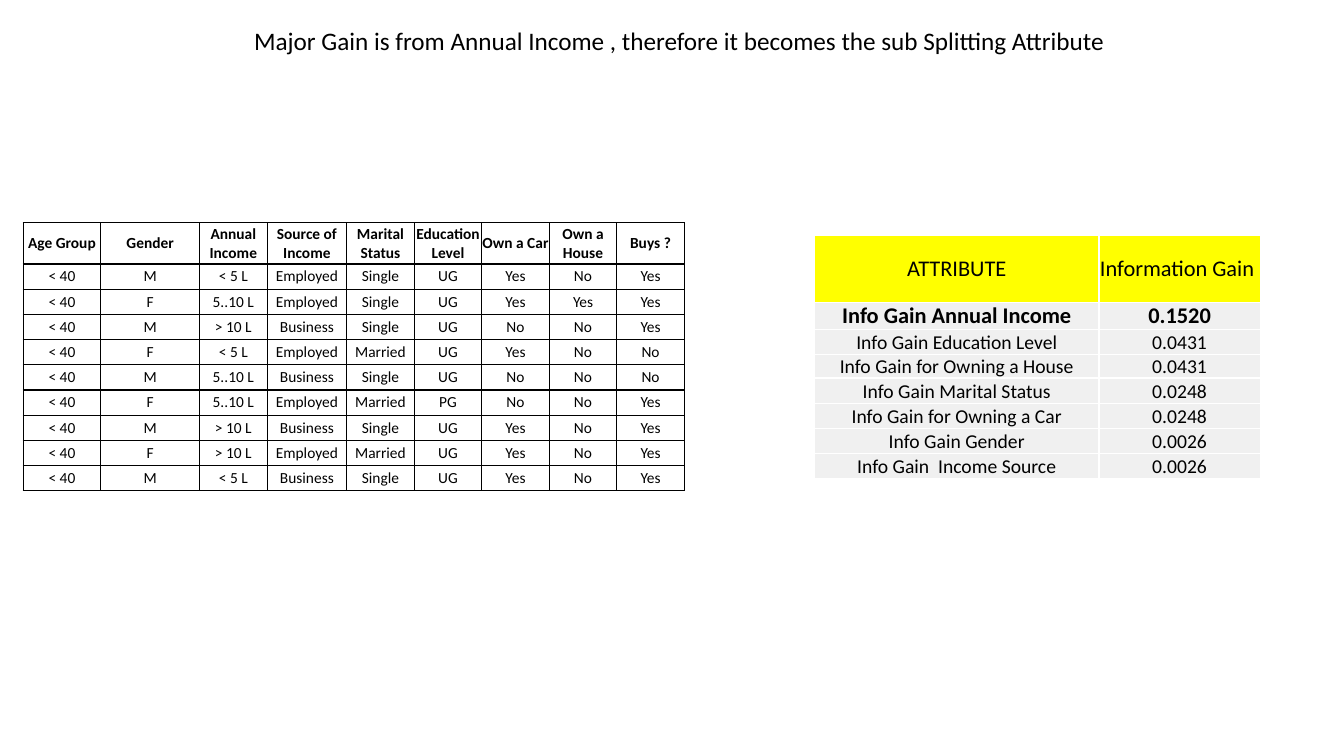
from lxml import etree
from pptx import Presentation
from pptx import util as u
from pptx.dml import color
from pptx.enum import text
from pptx.oxml import ns

PX = 9144
COLOURS = {"ink": "000000", "white": "FFFFFF", "header": "FFFF00", "row": "F0F0F0"}

TITLE = "Major Gain is from Annual Income , therefore it becomes the sub Splitting Attribute"

BUYER_HEADINGS = (
    "Age Group", "Gender", "Annual Income", "Source of Income", "Marital Status",
    "Education Level", "Own a Car", "Own a House", "Buys ?",
)
BUYERS = [
    ("< 40", "M", "< 5 L", "Employed", "Single", "UG", "Yes", "No", "Yes"),
    ("< 40", "F", "5..10 L", "Employed", "Single", "UG", "Yes", "Yes", "Yes"),
    ("< 40", "M", "> 10 L", "Business", "Single", "UG", "No", "No", "Yes"),
    ("< 40", "F", "< 5 L", "Employed", "Married", "UG", "Yes", "No", "No"),
    ("< 40", "M", "5..10 L", "Business", "Single", "UG", "No", "No", "No"),
    ("< 40", "F", "5..10 L", "Employed", "Married", "PG", "No", "No", "Yes"),
    ("< 40", "M", "> 10 L", "Business", "Single", "UG", "Yes", "No", "Yes"),
    ("< 40", "F", "> 10 L", "Employed", "Married", "UG", "Yes", "No", "Yes"),
    ("< 40", "M", "< 5 L", "Business", "Single", "UG", "Yes", "No", "Yes"),
]

GAIN_HEADINGS = ("ATTRIBUTE", "Information Gain ")
GAINS = [
    ("Info Gain Annual Income", "0.1520"),
    ("Info Gain Education Level", "0.0431"),
    ("Info Gain for Owning a House", "0.0431"),
    ("Info Gain Marital Status", "0.0248"),
    ("Info Gain for Owning a Car", "0.0248"),
    ("Info Gain Gender", "0.0026"),
    ("Info Gain  Income Source", "0.0026"),
]


def px(length):
    return u.Emu(length * PX)


def write(frame, content, size, bold=False, align=text.PP_ALIGN.CENTER, colour="ink"):
    para = frame.paragraphs[0]
    para.alignment = align
    span = para.add_run()
    span.text = content
    span.font.name = "Calibri"
    span.font.size = u.Pt(size)
    span.font.bold = bold
    span.font.color.rgb = color.RGBColor.from_string(COLOURS[colour])


def draw_borders(cell, colour):
    properties = cell._tc.get_or_add_tcPr()
    for side in ("a:lnL", "a:lnR", "a:lnT", "a:lnB"):
        line = etree.SubElement(properties, ns.qn(side), w=str(u.Pt(1)))
        fill = etree.SubElement(line, ns.qn("a:solidFill"))
        etree.SubElement(fill, ns.qn("a:srgbClr"), val=COLOURS[colour])


def fill_cell(cell, content, border, fill=None, anchor=text.MSO_ANCHOR.MIDDLE, **style):
    cell.margin_left = cell.margin_right = cell.margin_top = cell.margin_bottom = 0
    cell.vertical_anchor = anchor
    draw_borders(cell, border)
    if fill:
        cell.fill.solid()
        cell.fill.fore_color.rgb = color.RGBColor.from_string(COLOURS[fill])
    else:
        cell.fill.background()
    write(cell.text_frame, content, **style)


def place_table(page, left, top, widths, heights):
    box = page.shapes.add_table(
        len(heights), len(widths), px(left), px(top), px(sum(widths)), px(sum(heights))
    )
    table = box.table
    table.first_row = table.horz_banding = False
    for column, width in zip(table.columns, widths):
        column.width = px(width)
    for row, height in zip(table.rows, heights):
        row.height = px(height)
    return table


def add_title(page, left, top, width, height):
    title = page.shapes.title
    title.left, title.top, title.width, title.height = map(px, (left, top, width, height))
    frame = title.text_frame
    frame.word_wrap = True
    frame.auto_size = text.MSO_AUTO_SIZE.SHAPE_TO_FIT_TEXT
    frame.vertical_anchor = text.MSO_ANCHOR.TOP
    write(frame, TITLE, size=18, align=text.PP_ALIGN.LEFT)


def add_buyers(page, left, top):
    widths = [77, 98, 67, 79] + [67] * 5
    table = place_table(page, left, top, widths, [41] + [25] * len(BUYERS))
    for row, values in enumerate([BUYER_HEADINGS] + BUYERS):
        for column, value in enumerate(values):
            fill_cell(table.cell(row, column), value, "ink", size=11, bold=row == 0)


def add_gains(page, left, top):
    heights = [66, 25, 25, 23, 25, 25, 25, 25]
    table = place_table(page, left, top, [282, 160], heights)
    header = dict(fill="header", size=16)
    best = dict(fill="row", anchor=text.MSO_ANCHOR.BOTTOM, size=16, bold=True)
    plain = dict(best, size=14, bold=False)
    styles = [header, best] + [plain] * (len(GAINS) - 1)
    for row, (values, style) in enumerate(zip([GAIN_HEADINGS] + GAINS, styles)):
        for column, value in enumerate(values):
            fill_cell(table.cell(row, column), value, "white", **style)


def main():
    deck = Presentation()
    deck.slide_width, deck.slide_height = px(1333), px(750)
    page = deck.slides.add_slide(deck.slide_layouts.get_by_name("Title Only"))
    add_title(page, 242, 20, 964, 40)
    add_buyers(page, 23, 221)
    add_gains(page, 808, 234)
    deck.save("out.pptx")


if __name__ == "__main__":
    main()
